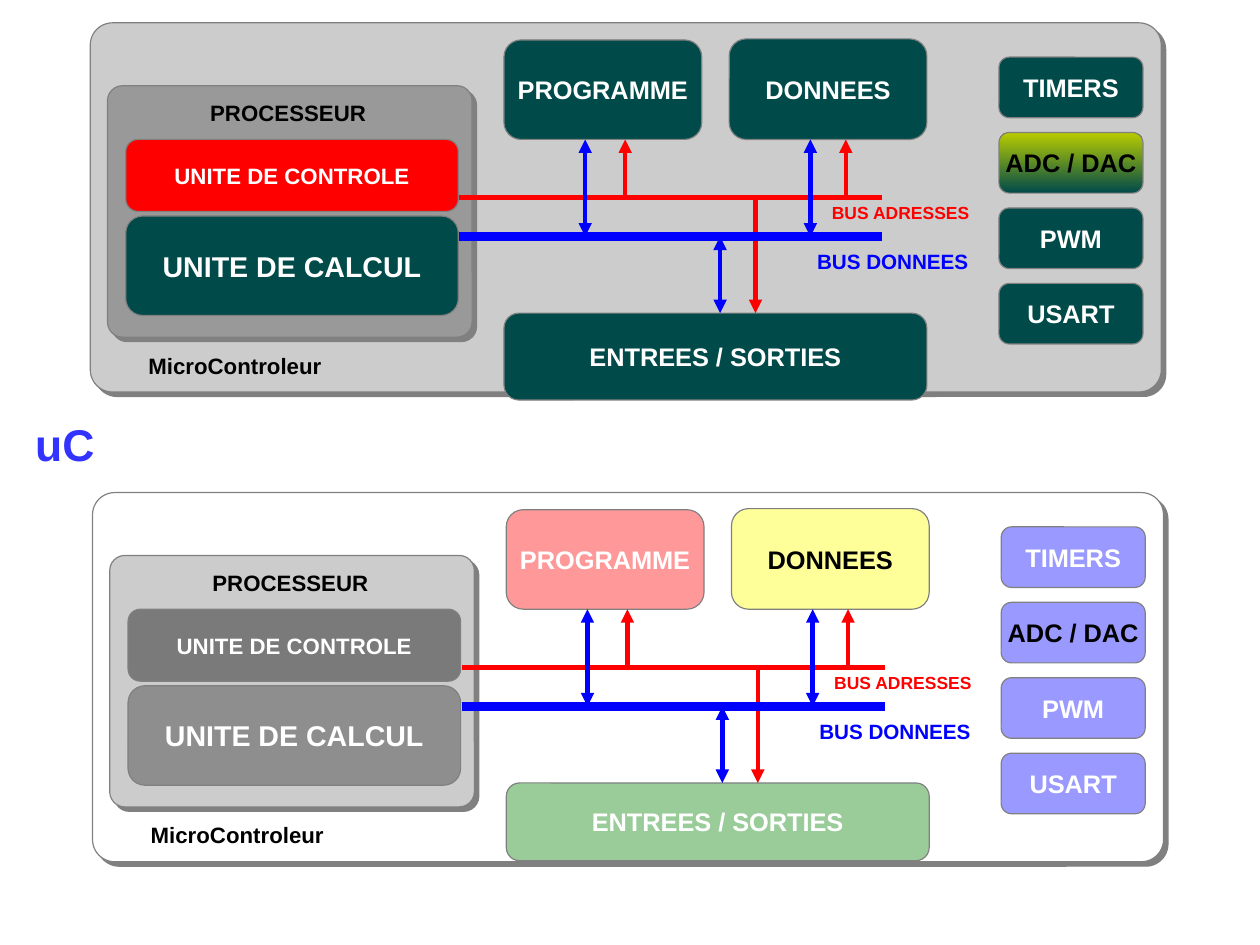
import pptx
import pptx.util
import pptx.dml.color
import pptx.enum.shapes
import pptx.enum.text
import pptx.oxml
import pptx.oxml.ns
import lxml.etree

Inches = pptx.util.Inches
Pt = pptx.util.Pt
RGBColor = pptx.dml.color.RGBColor

BLACK = RGBColor(0x00, 0x00, 0x00)
WHITE = RGBColor(0xFF, 0xFF, 0xFF)
RED = RGBColor(0xFF, 0x00, 0x00)
BLUE = RGBColor(0x00, 0x00, 0xFF)
GREEN = RGBColor(0x00, 0x80, 0x00)
YELLOW = RGBColor(0xFF, 0xFF, 0x00)
TEAL = RGBColor(0x00, 0x4A, 0x4A)
LIME = RGBColor(0xB8, 0xCC, 0x00)
TITLE_BLUE = RGBColor(0x33, 0x33, 0xFF)
LIGHT_GREY = RGBColor(0xCC, 0xCC, 0xCC)
MID_GREY = RGBColor(0x99, 0x99, 0x99)
OUTLINE = RGBColor(0x80, 0x80, 0x80)

presentation = pptx.Presentation()
presentation.slide_width = pptx.util.Cm(28)
presentation.slide_height = pptx.util.Cm(21)
slide = presentation.slides.add_slide(presentation.slide_layouts[6])


def add_block(left, top, width, height, fill, opacity=100, corner=0.17):
    shape = slide.shapes.add_shape(
        pptx.enum.shapes.MSO_SHAPE.ROUNDED_RECTANGLE,
        Inches(left), Inches(top), Inches(width), Inches(height))
    shape.adjustments[0] = corner
    shape.shadow.inherit = False
    shape.fill.solid()
    shape.fill.fore_color.rgb = fill
    if opacity < 100:
        color = shape._element.spPr.find(".//" + pptx.oxml.ns.qn("a:srgbClr"))
        lxml.etree.SubElement(color, pptx.oxml.ns.qn("a:alpha"), val=str(opacity * 1000))
    shape.line.color.rgb = OUTLINE
    shape.line.width = Pt(0)
    return shape


def write_text(shape, text, size, color, centered=False):
    frame = shape.text_frame
    frame.word_wrap = False
    if centered:
        frame.vertical_anchor = pptx.enum.text.MSO_ANCHOR.MIDDLE
    else:
        frame.auto_size = pptx.enum.text.MSO_AUTO_SIZE.SHAPE_TO_FIT_TEXT
    paragraph = frame.paragraphs[0]
    paragraph.text = text
    paragraph.alignment = (pptx.enum.text.PP_ALIGN.CENTER if centered
                           else pptx.enum.text.PP_ALIGN.LEFT)
    paragraph.font.name = "Arial"
    paragraph.font.size = Pt(size)
    paragraph.font.bold = True
    paragraph.font.color.rgb = color


MEMORY_BOTTOM, ADDRESS_BUS, DATA_BUS, PORTS_TOP = 1.22, 1.73, 2.07, 2.74
BUS_LEFT, BUS_RIGHT = 4.02, 7.72

panels = [
    (0.79, 0.2, 9.37, 3.23),
    (0.94, 0.75, 3.19, 2.2),
]
blocks = [
    ("PROGRAMME", 4.41, 0.35, 1.73, 0.87, 16),
    ("ENTREES / SORTIES", 4.41, PORTS_TOP, 3.7, 0.76, 16),
    ("DONNEES", 6.38, 0.34, 1.73, 0.88, 16),
    ("UNITE DE CALCUL", 1.1, 1.89, 2.91, 0.87, 18),
    ("UNITE DE CONTROLE", 1.1, 1.22, 2.91, 0.63, 14),
]
peripherals = ["TIMERS", "ADC / DAC", "PWM", "USART"]
for row, name in enumerate(peripherals):
    blocks.append((name, 8.74, 0.5 + 0.66 * row, 1.26, 0.53, 16))

wires = [
    (BUS_RIGHT, ADDRESS_BUS, BUS_LEFT, ADDRESS_BUS, RED, 2.83, []),
    (6.61, ADDRESS_BUS, 6.61, PORTS_TOP, RED, 2.83, ["tailEnd"]),
    (BUS_RIGHT, DATA_BUS, BUS_LEFT, DATA_BUS, BLUE, 5.67, []),
    (7.09, MEMORY_BOTTOM, 7.09, DATA_BUS, BLUE, 2.83, ["headEnd", "tailEnd"]),
    (6.3, DATA_BUS, 6.3, PORTS_TOP, BLUE, 2.83, ["headEnd", "tailEnd"]),
    (5.47, ADDRESS_BUS, 5.47, MEMORY_BOTTOM, RED, 2.83, ["tailEnd"]),
    (7.4, ADDRESS_BUS, 7.4, MEMORY_BOTTOM, RED, 2.83, ["tailEnd"]),
    (5.12, MEMORY_BOTTOM, 5.12, DATA_BUS, BLUE, 2.83, ["headEnd", "tailEnd"]),
]
labels = [
    ("MicroControleur", 1.2, 3.03, 1.74, 0.32, 14, BLACK),
    ("PROCESSEUR", 1.74, 0.82, 1.6, 0.32, 14, BLACK),
    ("BUS DONNEES", 7.05, 2.13, 1.55, 0.3, 13, BLUE),
    ("BUS ADRESSES", 7.18, 1.72, 1.43, 0.27, 11, RED),
]

dark_fills = {name: (TEAL, 100) for name, *_ in blocks}
dark_fills["UNITE DE CONTROLE"] = (RED, 100)
pale_fills = {
    "PROGRAMME": (RED, 40),
    "ENTREES / SORTIES": (GREEN, 40),
    "DONNEES": (YELLOW, 40),
    "UNITE DE CALCUL": (BLACK, 30),
    "UNITE DE CONTROLE": (BLACK, 40),
}
for name in peripherals:
    pale_fills[name] = (BLUE, 40)

diagrams = [
    (0, 0, [LIGHT_GREY, MID_GREY], dark_fills, ["ADC / DAC"]),
    (0.02, 4.11, [WHITE, LIGHT_GREY], pale_fills, ["ADC / DAC", "DONNEES"]),
]

for shift_x, shift_y, panel_fills, fills, black_names in diagrams:
    for (left, top, width, height), fill in zip(panels, panel_fills):
        panel = add_block(left + shift_x, top + shift_y, width, height, fill, corner=0.06)
        effects = panel._element.spPr.find(pptx.oxml.ns.qn("a:effectLst"))
        effects.append(pptx.oxml.parse_xml(
            f'<a:outerShdw {pptx.oxml.ns.nsdecls("a")} dist="50800" dir="2700000" '
            f'algn="tl" rotWithShape="0"><a:srgbClr val="{OUTLINE}"/></a:outerShdw>'))

    for name, left, top, width, height, size in blocks:
        if name == "ENTREES / SORTIES" and fills is pale_fills:
            height = 0.68
        fill, opacity = fills[name]
        block = add_block(left + shift_x, top + shift_y, width, height, fill, opacity)
        if name == "ADC / DAC" and fills is dark_fills:
            block.fill.gradient()
            block.fill.gradient_angle = 90
            for stop, color in zip(block.fill.gradient_stops, [TEAL, LIME]):
                stop.color.rgb = color
        write_text(block, name, size, BLACK if name in black_names else WHITE, centered=True)

    for x1, y1, x2, y2, color, weight, arrowheads in wires:
        wire = slide.shapes.add_connector(
            pptx.enum.shapes.MSO_CONNECTOR.STRAIGHT,
            Inches(x1 + shift_x), Inches(y1 + shift_y),
            Inches(x2 + shift_x), Inches(y2 + shift_y))
        wire.line.color.rgb = color
        wire.line.width = Pt(weight)
        outline = wire._element.spPr.find(pptx.oxml.ns.qn("a:ln"))
        for end in arrowheads:
            lxml.etree.SubElement(outline, pptx.oxml.ns.qn("a:" + end), type="triangle")
        lxml.etree.SubElement(wire._element.spPr, pptx.oxml.ns.qn("a:effectLst"))

    for text, left, top, width, height, size, color in labels:
        label = slide.shapes.add_textbox(
            Inches(left + shift_x), Inches(top + shift_y), Inches(width), Inches(height))
        write_text(label, text, size, color)

title = slide.shapes.add_textbox(Inches(0.21), Inches(3.6), Inches(2.57), Inches(0.97))
write_text(title, "uC", 28, TITLE_BLUE)
title.text_frame.word_wrap = True

presentation.save("out.pptx")
